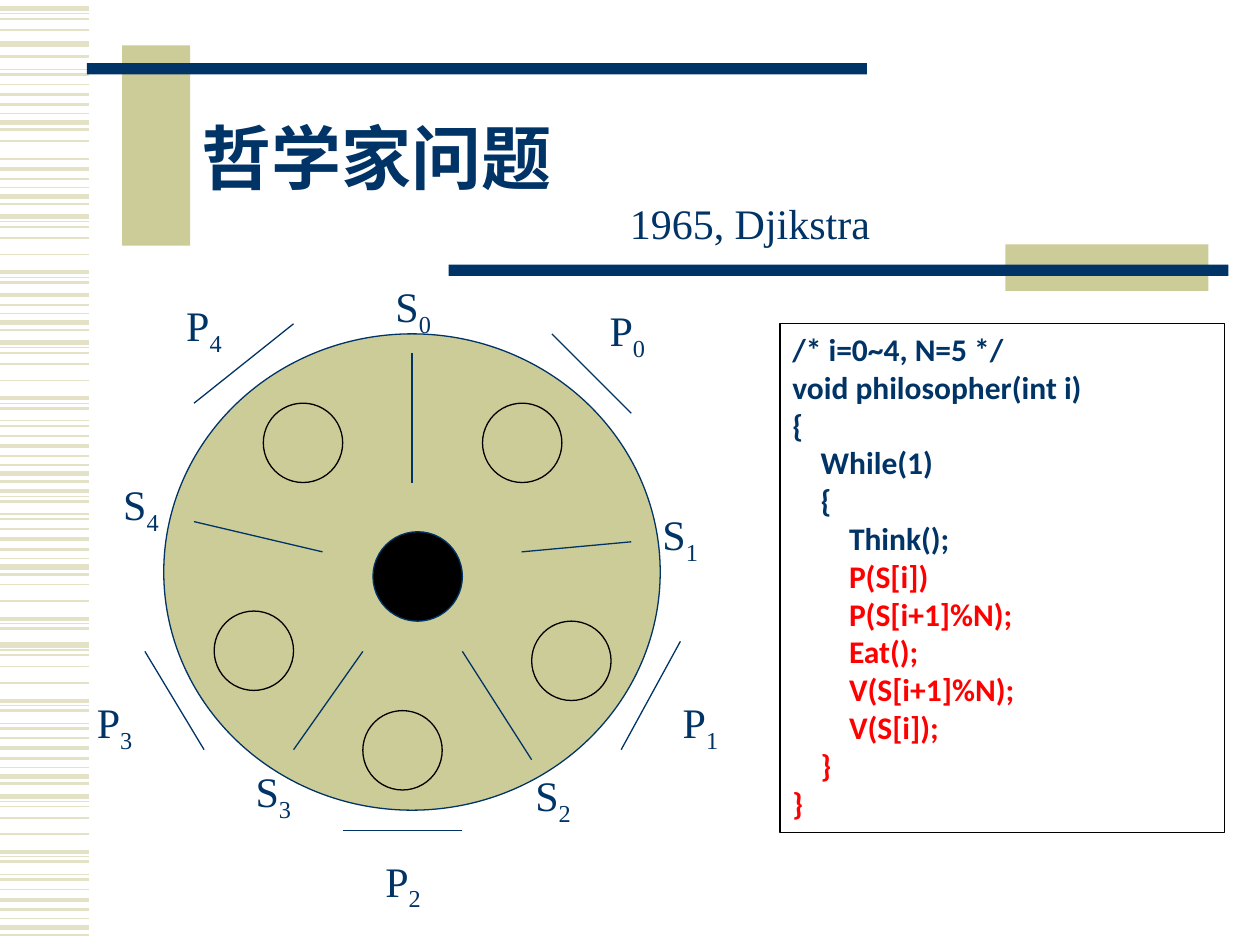
from lxml import etree
from pptx import Presentation
from pptx.dml.color import RGBColor
from pptx.enum.shapes import MSO_CONNECTOR, MSO_SHAPE
from pptx.enum.text import MSO_ANCHOR, MSO_AUTO_SIZE, PP_ALIGN
from pptx.oxml.ns import qn
from pptx.util import Inches, Pt

RECT, OVAL = MSO_SHAPE.RECTANGLE, MSO_SHAPE.OVAL
STRAIGHT = MSO_CONNECTOR.STRAIGHT
TOP, MIDDLE = MSO_ANCHOR.TOP, MSO_ANCHOR.MIDDLE
LEFT = PP_ALIGN.LEFT
GROW = MSO_AUTO_SIZE.SHAPE_TO_FIT_TEXT

COLORS = {"navy": "003366", "khaki": "CCCC99", "stripe": "E3E2C7",
          "black": "000000", "red": "FF0000"}
SERIF = "Times New Roman"

TITLE = "哲学家问题"
CREDIT = "1965, Djikstra"
CODE = [
    (0, "/* i=0~4, N=5 */", "navy"),
    (0, "void philosopher(int i)", "navy"),
    (0, "{", "navy"),
    (1, "While(1)", "navy"),
    (1, "{", "navy"),
    (2, "Think();", "navy"),
    (2, "P(S[i])", "red"),
    (2, "P(S[i+1]%N);", "red"),
    (2, "Eat();", "red"),
    (2, "V(S[i+1]%N);", "red"),
    (2, "V(S[i]);", "red"),
    (1, "}", "red"),
    (0, "}", "red"),
]
CODE_INDENT = 0.225

RISING = [(-0.30, 1), (-0.22, 2.25), (-0.14, 1.5), (-0.07, 0.75), (0, 3), (0.06, 1.5)]
FALLING = [(0, 3), (0.04, 0.75), (0.08, 1), (0.17, 1), (0.30, 1), (0.44, 2.25),
           (0.48, 0.75), (0.52, 1.5), (0.62, 0.75), (0.66, 1.5)]
STRIPE_BANDS = [
    (0.07, FALLING[:4]), (0.35, FALLING[:1]), (-0.07, FALLING[7:]),
    (0.97, RISING), (0.82, FALLING[4:5]), (1.56, RISING),
    (1.72, FALLING[:8]), (2.56, RISING[1:]), (2.72, FALLING),
    (3.76, RISING), (3.46, FALLING[5:]), (4.5, RISING),
    (4.47, FALLING[3:8]), (5.12, FALLING), (6.16, RISING),
    (6.32, FALLING), (7.36, RISING),
]
STRIPE_LENGTH = 0.71
BARS = [(0.97, 0.36, 0.54, 1.59, "khaki"), (0.69, 0.5, 6.19, 0.09, "navy"),
        (7.98, 1.94, 1.61, 0.37, "khaki"), (3.56, 2.1, 6.19, 0.09, "navy")]

TABLE = (1.3, 2.65, 3.94, 3.78)
BOWL = (2.96, 4.22, 0.71, 0.71)
PLATE_SIZE = 0.63
PLATES = [(2.88, 5.64), (4.22, 4.93), (3.83, 3.2), (2.09, 3.2), (1.7, 4.85)]
CHOPSTICKS = [(4.22, 6.03, 3.67, 5.17), (5.01, 4.3, 4.14, 4.38), (2.33, 5.95, 2.88, 5.17),
              (1.54, 4.14, 2.56, 4.38), (3.27, 2.8, 3.27, 3.83)]
SEATS = [(2.72, 6.59, 3.67, 6.59), (4.93, 5.95, 5.4, 5.09), (5.01, 3.28, 4.38, 2.65),
         (2.33, 2.57, 1.54, 3.2), (1.15, 5.17, 1.62, 5.95)]
LABELS = {
    "P": [(4.74, 2.37), (5.32, 5.48), (2.96, 6.74), (0.67, 5.48), (1.38, 2.33)],
    "S": [(3.04, 2.18), (5.16, 3.99), (4.15, 6.06), (1.93, 6.03), (0.88, 3.75)],
}


def rgb(color):
    return RGBColor.from_string(COLORS[color])


def add_figure(shapes, kind, box, fill=None, line=None):
    figure = shapes.add_shape(kind, *map(Inches, box))
    figure.shadow.inherit = False
    if fill:
        figure.fill.solid()
        figure.fill.fore_color.rgb = rgb(fill)
    else:
        figure.fill.background()
    if line:
        figure.line.color.rgb = rgb(line)
        figure.line.width = Pt(0.75)
    else:
        figure.line.fill.background()
    return figure


def add_line(shapes, ends, color, width=0.75):
    line = shapes.add_connector(STRAIGHT, *map(Inches, ends))
    line.line.color.rgb = rgb(color)
    line.line.width = Pt(width)
    etree.SubElement(line._element.spPr, qn("a:effectLst"))


def add_run(paragraph, text, size, font, color="navy", bold=False):
    run = paragraph.add_run()
    run.text = text
    run.font.size = Pt(size)
    run.font.name = font
    run.font.bold = bold
    run.font.color.rgb = rgb(color)
    return run


def add_text(shapes, box, wrap=True, grow=True):
    frame = shapes.add_textbox(*map(Inches, box)).text_frame
    frame.word_wrap = wrap
    if grow:
        frame.auto_size = GROW
    return frame


def add_background(shapes):
    stripes = shapes.add_group_shape().shapes
    for anchor, band in STRIPE_BANDS:
        for offset, width in band:
            y = anchor + offset
            add_line(stripes, (0, y, STRIPE_LENGTH, y), "stripe", width)
    bars = shapes.add_group_shape().shapes
    for *box, color in BARS:
        add_figure(bars, RECT, box, color)


def add_dining_table(shapes):
    dining = shapes.add_group_shape().shapes
    add_figure(dining, OVAL, TABLE, "khaki", "navy")
    add_figure(dining, OVAL, BOWL, "black", "navy")
    for x, y in PLATES:
        add_figure(dining, OVAL, (x, y, PLATE_SIZE, PLATE_SIZE), "khaki", "black")
    for ends in CHOPSTICKS + SEATS:
        add_line(dining, ends, "navy")
    for letter, places in LABELS.items():
        for number, (x, y) in enumerate(places):
            label = add_text(dining, (x, y, 0.54, 0.5), wrap=False).paragraphs[0]
            add_run(label, letter, 24, SERIF)
            subscript = add_run(label, str(number), 24, SERIF)
            subscript.font._element.set("baseline", "-25000")


def add_code(shapes):
    frame = add_figure(shapes, RECT, (6.19, 2.57, 3.53, 4.04), line="black").text_frame
    frame.word_wrap = True
    frame.auto_size = GROW
    frame.vertical_anchor = TOP
    for index, (level, text, color) in enumerate(CODE):
        row = frame.add_paragraph() if index else frame.paragraphs[0]
        row.alignment = LEFT
        properties = row._p.get_or_add_pPr()
        properties.set("marL", str(Inches(level * CODE_INDENT)))
        properties.set("indent", "0")
        add_run(row, text, 18, "Calibri", color, bold=True)


def main():
    """Build the dining philosophers slide."""
    deck = Presentation()
    deck.slide_width, deck.slide_height = Inches(10), Inches(7.5)
    shapes = deck.slides.add_slide(deck.slide_layouts[6]).shapes
    add_background(shapes)
    title = add_text(shapes, (1.5, 0.67, 8.07, 1.25), grow=False)
    title.vertical_anchor = MIDDLE
    title.paragraphs[0].line_spacing = 0.85
    add_run(title.paragraphs[0], TITLE, 40, "Arial", bold=True)
    add_dining_table(shapes)
    credit = add_text(shapes, (4.9, 1.52, 3.03, 0.5))
    add_run(credit.paragraphs[0], CREDIT, 24, SERIF)
    add_code(shapes)
    deck.save("out.pptx")


if __name__ == "__main__":
    main()
